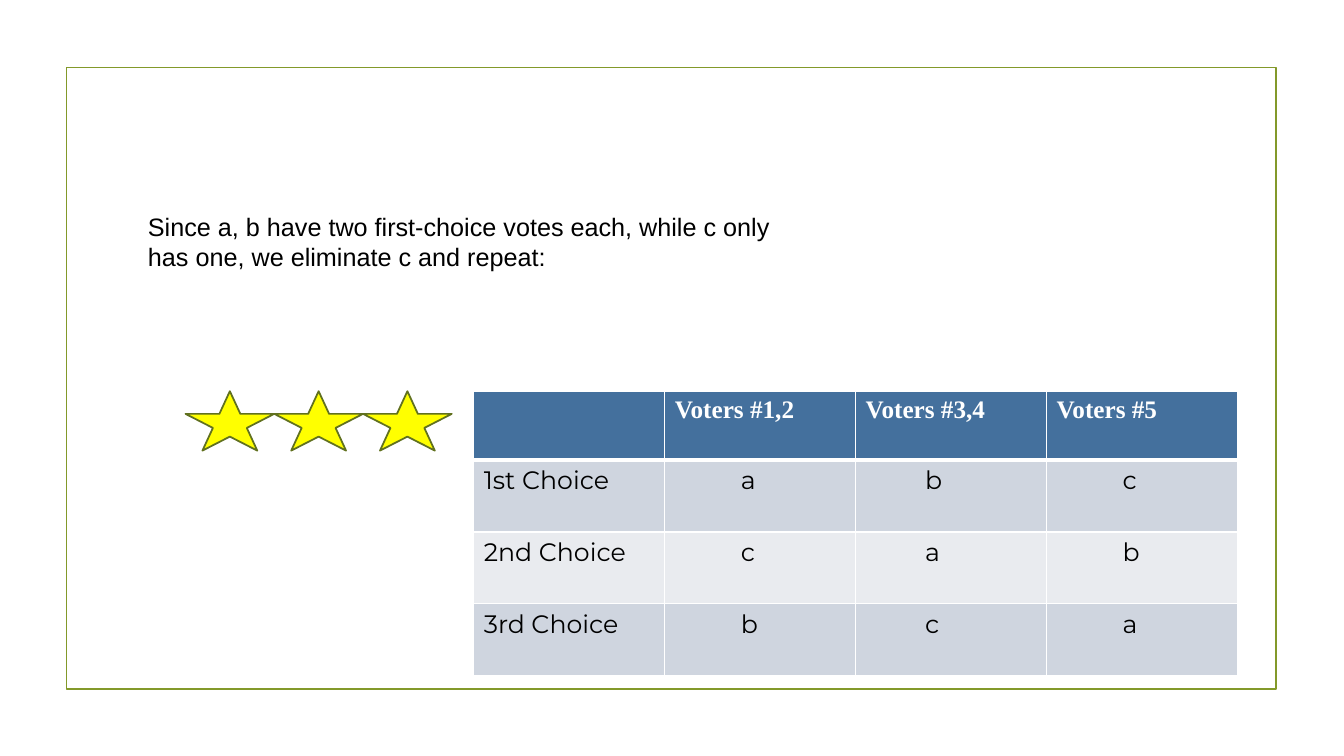
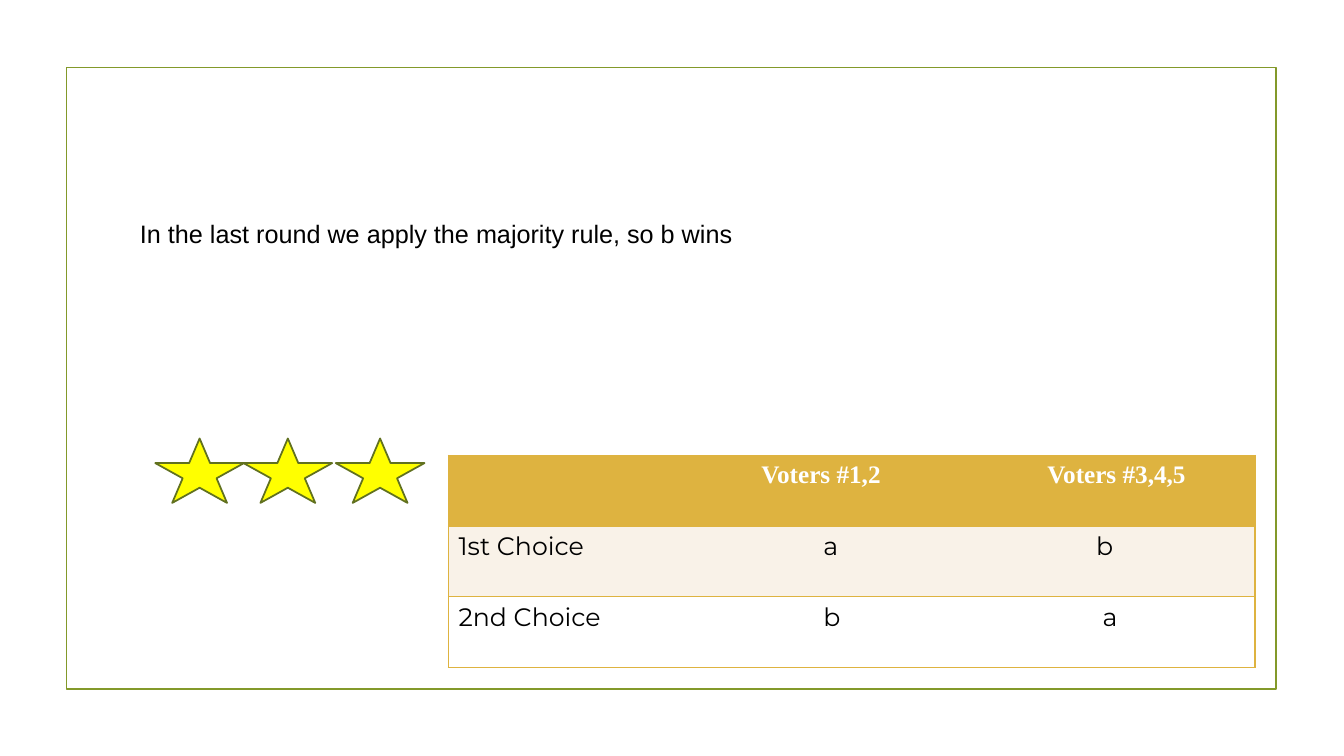
from pptx import Presentation
from pptx import util as u
from pptx.dml import color
from pptx.enum import shapes
from pptx.oxml import xmlchemy, ns
from lxml import etree

COLORS = {
    "frame": "83992A", "star": "FFFF00", "star_line": "61711F",
    "black": "000000", "white": "FFFFFF",
    "blue": "44709D", "blue_dark": "CFD5DF", "blue_light": "E9EBEF",
    "gold": "DEB340", "cream": "F9F2E8",
}
PLAIN_TABLE = "{2D5ABB26-0587-4C30-8999-92F81FD0307C}"
MARGIN = 7.2


def rgb(name):
    return color.RGBColor.from_string(COLORS[name])


def write(frame, text, font="Arial", size=18, fill="black", bold=False):
    """Put one formatted run of text into a text frame."""
    span = frame.paragraphs[0].add_run()
    span.text = text
    span.font.name = font
    span.font.size = u.Pt(size)
    span.font.bold = bold
    span.font.color.rgb = rgb(fill)


def set_border(cell, side, name, width=1):
    """Draw one side (L, R, T or B) of a cell; call before filling the cell."""
    props = cell._tc.get_or_add_tcPr()
    line = etree.SubElement(props, ns.qn(f"a:ln{side}"), w=str(u.Pt(width)))
    solid = etree.SubElement(line, ns.qn("a:solidFill"))
    etree.SubElement(solid, ns.qn("a:srgbClr"), val=COLORS[name])


class Deck:
    def __init__(self):
        self.deck = Presentation()
        self.deck.slide_width, self.deck.slide_height = u.Pt(960), u.Pt(540)
        self.page = None

    def new_page(self):
        """Start a slide with the shared green frame."""
        self.page = self.deck.slides.add_slide(self.deck.slide_layouts[6])
        self.shape(shapes.MSO_SHAPE.RECTANGLE, 47.5, 48.2, 864, 444.2, "frame")

    def shape(self, kind, left, top, width, height, line, fill=None):
        shape = self.page.shapes.add_shape(
            kind, u.Pt(left), u.Pt(top), u.Pt(width), u.Pt(height))
        shape.shadow.inherit = False
        shape.line.color.rgb = rgb(line)
        shape.line.width = u.Pt(1.25)
        if fill:
            shape.fill.solid()
            shape.fill.fore_color.rgb = rgb(fill)
        else:
            shape.fill.background()

    def stars(self, lefts, top, height):
        for left in lefts:
            self.shape(shapes.MSO_SHAPE.STAR_5_POINT, left, top, 63.4, height,
                       "star_line", "star")

    def text(self, text, left, top, width, height):
        box = self.page.shapes.add_textbox(
            u.Pt(left), u.Pt(top), u.Pt(width), u.Pt(height))
        box.text_frame.word_wrap = True
        write(box.text_frame, text)

    def table(self, left, top, widths, heights, rows, indents, fills, border):
        """Draw a table; border(row, column) yields (side, colour, width)."""
        table = self.page.shapes.add_table(
            len(rows), len(widths), u.Pt(left), u.Pt(top),
            u.Pt(sum(widths)), u.Pt(sum(heights))).table
        table._tbl.tblPr.find(ns.qn("a:tableStyleId")).text = PLAIN_TABLE
        for column, width in zip(table.columns, widths):
            column.width = u.Pt(width)
        for r, row in enumerate(rows):
            table.rows[r].height = u.Pt(heights[r])
            style = (dict(font="Times New Roman", fill="white", bold=True)
                     if r == 0 else dict(font="Montserrat"))
            for c, label in enumerate(row):
                cell = table.cell(r, c)
                for side in border(r, c):
                    set_border(cell, *side)
                cell.fill.solid()
                cell.fill.fore_color.rgb = rgb(fills[r])
                cell.margin_left = u.Pt(indents[r][c])
                write(cell.text_frame, label, **style)


def white_grid(row, column):
    for side in "LRTB":
        heavy = (row, side) in ((0, "B"), (1, "T"))
        yield side, "white", 3 if heavy else 1


def gold_rules(row, column):
    """Horizontal rules throughout, vertical ones only at the outer edges."""
    if column == 0:
        yield "L", "gold"
    if column == 2:
        yield "R", "gold"
    yield "T", "gold"
    yield "B", "gold"


def main():
    deck = Deck()

    deck.new_page()
    deck.table(
        338.4, 279.4, [136.4] * 4, [49.4] + [51.2] * 3,
        [["", "Voters #1,2", "Voters #3,4", "Voters #5"],
         ["1st Choice", "a", "b", "c"],
         ["2nd Choice", "c", "a", "b"],
         ["3rd Choice", "b", "c", "a"]],
        [[MARGIN] * 4] + [[MARGIN, 54.4, 49.7, 54.4]] * 3,
        ["blue", "blue_dark", "blue_light", "blue_dark"], white_grid)
    deck.text("Since a, b have two first-choice votes each, while c only "
              "has one, we eliminate c and repeat:", 98.6, 147.2, 480, 50)
    deck.stars([132.5 + 63.4 * i for i in range(3)], 279.4, 42.5)

    deck.new_page()
    deck.table(
        320.4, 325.4, [175.7, 208.8, 191.5], [50.4] * 3,
        [["", "Voters #1,2", "Voters #3,4,5"],
         ["1st Choice", "a", "b"],
         ["2nd Choice", "b", "a"]],
        [[MARGIN, 47.7, 43.2], [MARGIN, 92.1, 78], [MARGIN, 92.1, 82.7]],
        ["gold", "cream", "white"], gold_rules)
    deck.text("In the last round we apply the majority rule, so b wins",
              92.9, 152.6, 450, 29)
    deck.stars([110.9, 173.9, 239.8], 313.2, 46.1)

    deck.deck.save("out.pptx")


if __name__ == "__main__":
    main()
